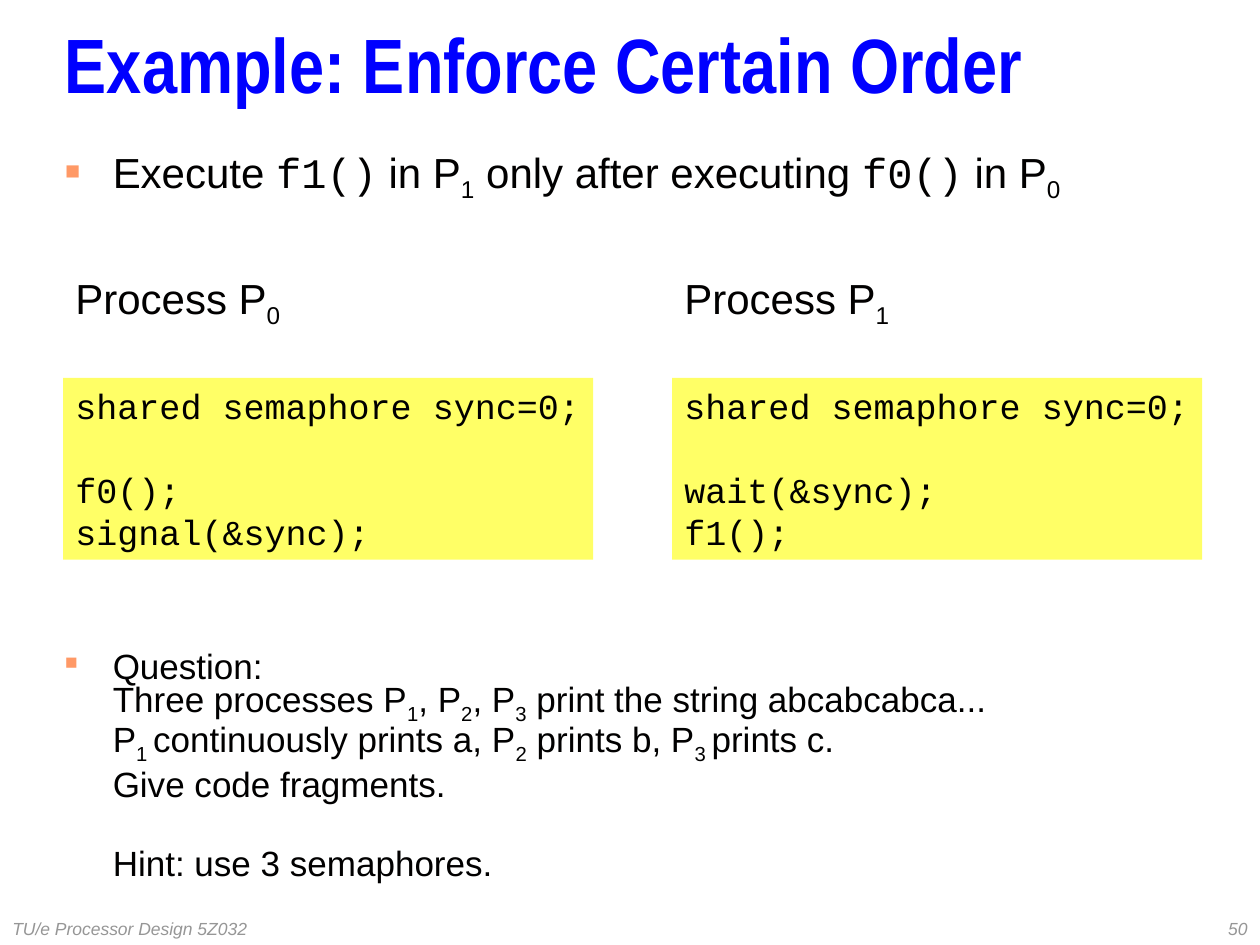
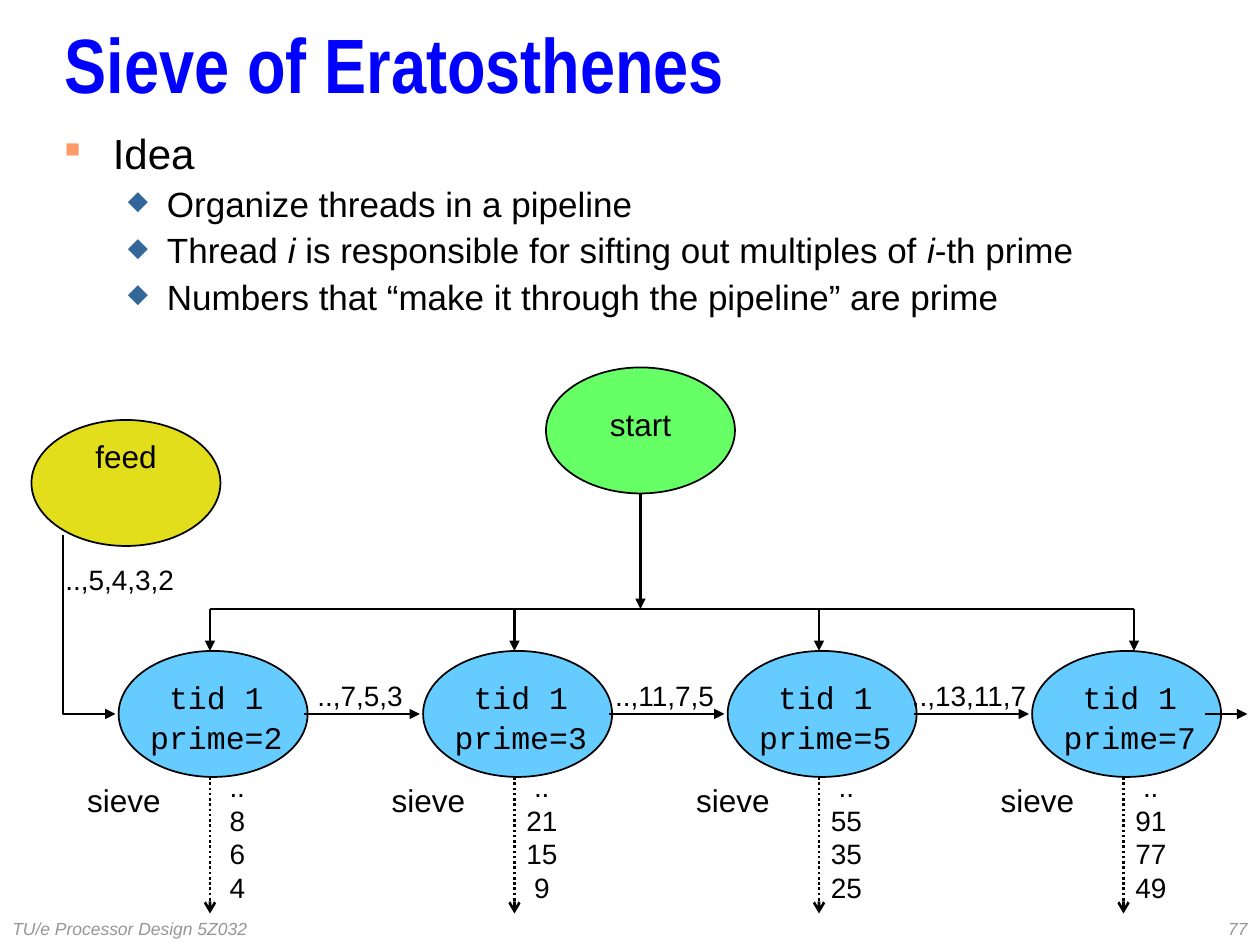
from pptx import Presentation
from pptx.dml.color import RGBColor as RGB
from pptx.enum.dml import MSO_LINE as Dash
from pptx.enum.shapes import MSO_CONNECTOR as Link, MSO_SHAPE as Form
from pptx.enum.text import MSO_ANCHOR as Anchor, PP_ALIGN as Align
from pptx.oxml.ns import qn
from pptx.util import Inches, Pt
from lxml.etree import SubElement as Sub

# Grid: 120 columns by 90 rows over 10 by 7.5 inches
COLS, ROWS = 120, 90
UNIT = Inches(10) // COLS

INK = RGB(0x01, 0x00, 0x00)
BLUE = RGB(0x00, 0x00, 0xFF)
GREY = RGB(0x96, 0x96, 0x96)
YELLOW = RGB(0xFF, 0xFF, 0x66)
AQUA = RGB(0x66, 0xCC, 0xFF)
GREEN = RGB(0x66, 0xFF, 0x66)
OLIVE = RGB(0xE3, 0xDE, 0x1B)
ORANGE = RGB(0xFF, 0x99, 0x66)
STEEL = RGB(0x33, 0x66, 0x99)

SANS, NARROW, MONO = "Arial", "Arial Narrow", "Courier New"

# Bullets: sign, colour, size in percent, text indent and hang in inches
SQUARE = ("■", ORANGE, 50, 0.38, 0.38)
GEM = ("◆", STEEL, 75, 0.81, 0.31)
PLAIN = (None, None, None, 0.38, 0)

COURSE = "TU/e Processor Design 5Z032"


def grid(*vals):
    return [round(v * UNIT) for v in vals]


# Text

def mark(para, bullet):
    sign, color, size, left, hang = bullet
    props = para._p.get_or_add_pPr()
    props.set("marL", str(Inches(left)))
    props.set("indent", str(-Inches(hang)))
    if sign:
        Sub(Sub(props, qn("a:buClr")), qn("a:srgbClr")).set("val", str(color))
        Sub(props, qn("a:buSzPct")).set("val", str(size * 1000))
        Sub(props, qn("a:buChar")).set("char", sign)


def fill_para(para, words, size=20, font=SANS, color=INK, bold=False,
              italic=False, align=None, line=None, gap=0, bullet=None):
    """Pieces between ~ are marked: _ subscript, ` code, / italic."""
    if bullet:
        mark(para, bullet)
    para.alignment = align
    para.line_spacing = Pt(line or 1.2 * size)
    para.space_before = Pt(gap)
    for i, piece in enumerate(words.split("~")):
        kind = ""
        if i % 2:
            kind, piece = piece[0], piece[1:]
        for j, part in enumerate(piece.split("\n")):
            if j:
                para.add_line_break()
            if not part:
                continue
            run = para.add_run()
            run.text = part
            face = run.font
            face.name = MONO if kind == "`" else font
            face.size = Pt(size)
            face.color.rgb = color
            face.bold = bold
            face.italic = italic or kind == "/"
            if kind == "_":
                face._element.set("baseline", "-25000")


def text(slide, box, lines, shape=None, wrap=True, anchor=Anchor.TOP, **style):
    """Lines are strings, or pairs of a string and its own format."""
    shape = shape or slide.shapes.add_textbox(*grid(*box))
    frame = shape.text_frame
    frame.word_wrap = wrap
    frame.vertical_anchor = anchor
    for i, item in enumerate([lines] if isinstance(lines, str) else lines):
        words, own = (item, {}) if isinstance(item, str) else item
        para = frame.add_paragraph() if i else frame.paragraphs[0]
        fill_para(para, words, **{**style, **own})


def label(slide, mid, top, lines, size=18, font=SANS):
    text(slide, (mid - 10, top, 20, 4.8), lines, wrap=False,
         align=Align.CENTER, size=size, font=font)


# Shapes and lines

def block(slide, form, box, color, edge=None):
    shape = slide.shapes.add_shape(form, *grid(*box))
    shape.shadow.inherit = False
    shape.fill.solid()
    shape.fill.fore_color.rgb = color
    if edge:
        shape.line.color.rgb = edge
        shape.line.width = Pt(1)
    else:
        shape.line.fill.background()
    return shape


def stroke(shape, tip=None, dash=None):
    shape.line.color.rgb = INK
    shape.line.width = Pt(1.5)
    if dash:
        shape.line.dash_style = dash
    if tip:
        Sub(shape.line._get_or_add_ln(), qn("a:tailEnd")).set("type", tip)


def wire(slide, x1, y1, x2, y2, tip="triangle", dash=None):
    link = slide.shapes.add_connector(Link.STRAIGHT, *grid(x1, y1, x2, y2))
    stroke(link, tip, dash)
    Sub(link._element.spPr, qn("a:effectLst"))


def elbow(slide, x1, y1, x2, y2):
    path = slide.shapes.build_freeform(x1, y1, scale=UNIT)
    path.add_line_segments([(x1, y2), (x2, y2)], close=False)
    shape = path.convert_to_shape()
    shape.shadow.inherit = False
    shape.fill.background()
    stroke(shape, "triangle")


# Parts of every slide

def base(deck, title, number):
    slide = deck.slides.add_slide(deck.slide_layouts[6])
    text(slide, (5, 2, 110, 10), title, anchor=Anchor.MIDDLE, size=44,
         font=NARROW, color=BLUE, bold=True, line=40)
    foot = dict(anchor=Anchor.MIDDLE, size=10, color=GREY, italic=True,
                line=11.5)
    text(slide, (COLS - 25, ROWS - 3, 25, 3), number, align=Align.RIGHT, **foot)
    text(slide, (0, ROWS - 3, 25, 3), COURSE, **foot)
    return slide


# Slide on order

def process(slide, box, index, calls):
    x, y, w, h = box
    text(slide, (x, y, 25, 6), f"Process P~_{index}~", size=24)
    pane = block(slide, Form.RECTANGLE, (x, y + 10, w, h - 10), YELLOW)
    first, last = calls
    text(slide, None,
         ["shared semaphore sync=0;", (first, dict(gap=24)), last],
         shape=pane, wrap=False, font=MONO, align=Align.LEFT)


def order(deck):
    slide = base(deck, "Example: Enforce Certain Order", "50")
    text(slide, (5, 14, 110, 8),
         "Execute ~`f1()~ in P~_1~ only after executing ~`f0()~ in P~_0~",
         size=24, bullet=SQUARE)
    calls = [("f0();", "signal(&sync);"), ("wait(&sync);", "f1();")]
    for i, pair in enumerate(calls):
        process(slide, (6 + 58 * i, 26, 50.5, 27.3), i, pair)
    question = ("Question:\n"
                "Three processes P~_1~, P~_2~, P~_3~ print the string "
                "abcabcabca...\n"
                "P~_1 ~continuously prints a, P~_2~ prints b, "
                "P~_3 ~prints c.\n"
                "Give code fragments.")
    hint = ("Hint: use 3 semaphores.", dict(bullet=PLAIN, gap=22.6))
    text(slide, (5, 61, 110, 11), [question, hint], bullet=SQUARE, line=22.6)


# Slide on the sieve

def source(slide, box, name, color, drop):
    x, y, w, h = box
    block(slide, Form.OVAL, box, color, INK)
    label(slide, x + w / 2, y + drop, name)


def stage(slide, box, prime, sifted):
    x, y, w, h = box
    block(slide, Form.OVAL, box, AQUA, INK)
    label(slide, x + 9.3, y + 2, "tid 1", font=MONO)
    label(slide, x + 9.3, y + 5.8, f"prime={prime}", font=MONO)
    label(slide, x + 0.5, y + h - 0.2, "sieve")
    label(slide, x + 11.3, y + h - 1.3, ["..", *map(str, sifted)], size=16)
    wire(slide, x + 8.7, y + h, x + 8.7, y + h + 13, "arrow", Dash.ROUND_DOT)


def pipeline(slide, box, step):
    x, y, w, h = box
    rail, mid = y - 4, y + h / 2
    stages = [(2, (8, 6, 4), "..,7,5,3"), (3, (21, 15, 9), "..,11,7,5"),
              (5, (55, 35, 25), "..,13,11,7"), (7, (91, 77, 49), None)]
    # Rail from start to the stages
    wire(slide, x + 8.7, rail, 108, rail, None)
    for i, (prime, sifted, flow) in enumerate(stages):
        left = x + step * i
        stage(slide, (left, y, w, h), prime, sifted)
        drop = left + 8.7 if flow else 108
        wire(slide, drop, rail, drop, y)
        # Flow to the next stage
        if flow:
            wire(slide, left + 17.7, mid, left + 28.7, mid)
            label(slide, left + 23, y + 2, flow, size=16)
        else:
            wire(slide, left + 16.5, mid, left + 20.5, mid)


def sieve(deck):
    slide = base(deck, "Sieve of Eratosthenes", "77")
    point = dict(bullet=GEM, line=21.6, gap=5)
    text(slide, (5, 12, 110, 20), [
        ("Idea", dict(size=24, bullet=SQUARE, line=26)),
        ("Organize threads in a pipeline", point),
        ("Thread ~/i~ is responsible for sifting out multiples of "
         "~/i~-th prime", point),
        ("Numbers that “make it through the pipeline” are prime", point)])
    source(slide, (52, 35, 18, 12), "start", GREEN, 3)
    source(slide, (3, 40, 18, 12), "feed", OLIVE, 1)
    pipeline(slide, (11.3, 62, 18, 12), 29)
    wire(slide, 61, 47, 61, 58)
    elbow(slide, 6, 51, 11, 68)
    label(slide, 11.4, 53, "..,5,4,3,2", size=16)


def main():
    deck = Presentation()
    deck.slide_width, deck.slide_height = grid(COLS, ROWS)
    order(deck)
    sieve(deck)
    deck.save("out.pptx")


if __name__ == "__main__":
    main()
